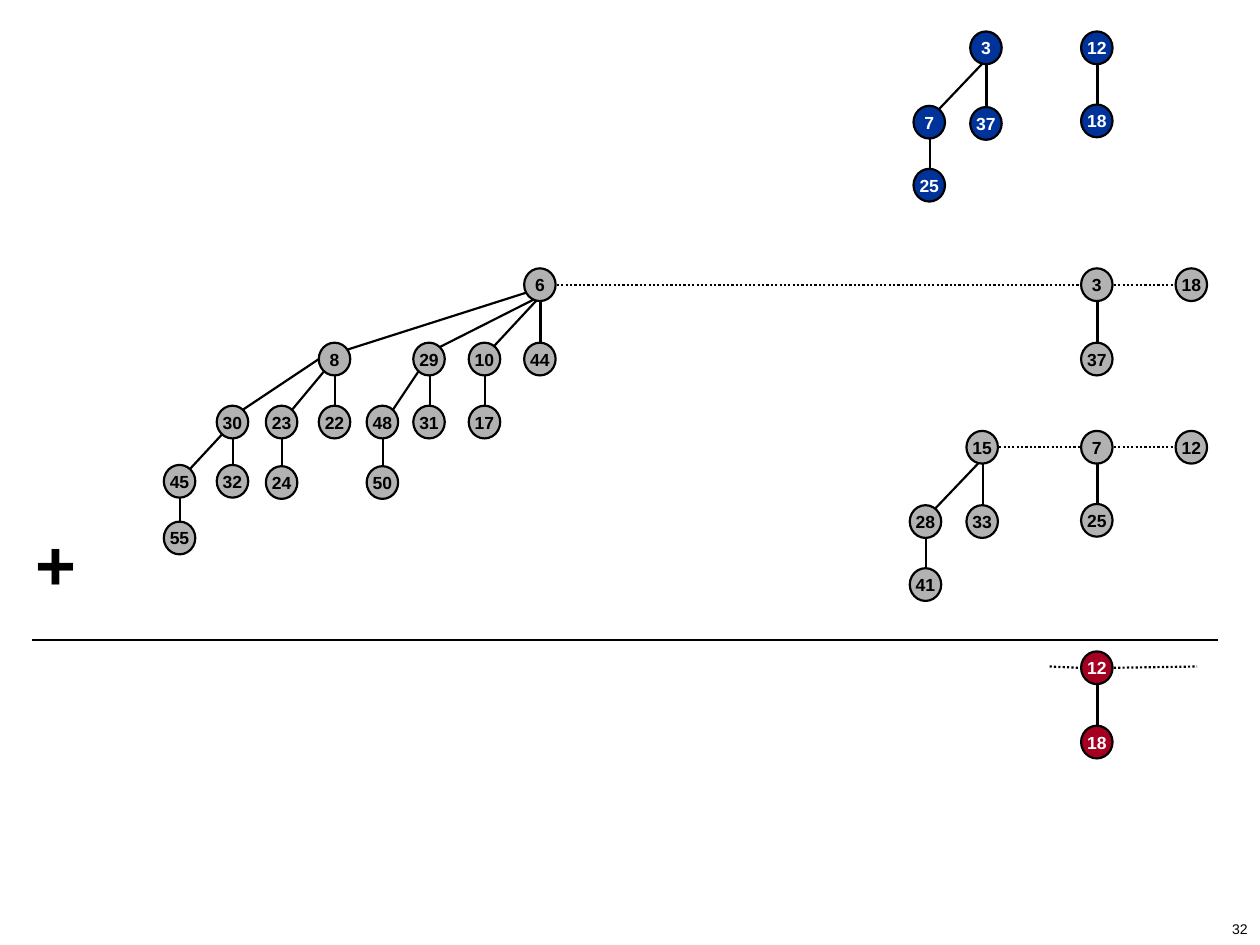
from lxml.etree import SubElement
from pptx import Presentation
from pptx.dml.color import RGBColor
from pptx.enum.dml import MSO_LINE
from pptx.enum.shapes import MSO_CONNECTOR, MSO_SHAPE
from pptx.enum.text import MSO_ANCHOR, PP_ALIGN
from pptx.oxml.ns import qn
from pptx.util import Inches, Pt

BLACK = RGBColor(0x00, 0x00, 0x00)
WHITE = RGBColor(0xFF, 0xFF, 0xFF)
GRAY = RGBColor(0xB2, 0xB2, 0xB2)
BLUE = RGBColor(0x00, 0x33, 0x99)
RED = RGBColor(0xA5, 0x00, 0x21)
FONT = "Arial"
NODE_W, NODE_H = 0.25, 0.26

# Edge joints: offset from the child's corner, offset from the parent's corner
DOWN = ((0.13, 0), (0.13, 0.26))
ROOT = ((0.18, 0.05), (0.13, 0.22))
WIDE = ((0.18, 0.07), (0.12, 0.16))
SLANT = ((0.21, 0.03), (0.04, 0.23))
SIDE = ((0.21, 0.03), (0, 0.13))

# Each node: key, left, top, then for a child its edge joints and its children
# A tree is (fill, text colour, root); a node is (key, left, top, joints, children)
TREES = [
    # Carried trees
    (BLUE, WHITE, ("3", 7.7, 0.25, None, [
        ("7", 7.25, 0.84, ROOT, [("25", 7.25, 1.34, DOWN, [])]),
        ("37", 7.7, 0.85, DOWN, []),
    ])),
    (BLUE, WHITE, ("12", 8.58, 0.25, None, [("18", 8.58, 0.83, DOWN, [])])),
    # First heap
    (GRAY, BLACK, ("6", 4.16, 2.13, None, [
        ("8", 2.53, 2.72, WIDE, [
            ("30", 1.72, 3.22, SIDE, [
                ("45", 1.3, 3.69, SLANT, [("55", 1.3, 4.14, DOWN, [])]),
                ("32", 1.72, 3.69, DOWN, []),
            ]),
            ("23", 2.11, 3.22, SLANT, [("24", 2.11, 3.7, DOWN, [])]),
            ("22", 2.53, 3.22, DOWN, []),
        ]),
        ("29", 3.28, 2.72, ROOT, [
            ("48", 2.91, 3.22, SLANT, [("50", 2.91, 3.7, DOWN, [])]),
            ("31", 3.28, 3.22, DOWN, []),
        ]),
        ("10", 3.72, 2.72, ROOT, [("17", 3.72, 3.22, DOWN, [])]),
        ("44", 4.16, 2.72, DOWN, []),
    ])),
    (GRAY, BLACK, ("3", 8.58, 2.13, None, [("37", 8.58, 2.72, DOWN, [])])),
    (GRAY, BLACK, ("18", 9.33, 2.13, None, [])),
    # Second heap
    (GRAY, BLACK, ("15", 7.67, 3.42, None, [
        ("28", 7.22, 4.01, ROOT, [("41", 7.22, 4.51, DOWN, [])]),
        ("33", 7.67, 4.01, DOWN, []),
    ])),
    (GRAY, BLACK, ("7", 8.58, 3.42, None, [("25", 8.58, 4, DOWN, [])])),
    (GRAY, BLACK, ("12", 9.33, 3.42, None, [])),
    # Sum so far
    (RED, WHITE, ("12", 8.58, 5.17, None, [("18", 8.58, 5.76, DOWN, [])])),
]

# Dotted links along the root lists
ROOT_LINKS = [
    ((4.42, 2.26), (8.57, 2.26)), ((8.84, 2.26), (9.32, 2.26)),
    ((7.93, 3.55), (8.57, 3.55)), ((8.84, 3.55), (9.32, 3.55)),
    ((8.33, 5.29), (8.57, 5.3)), ((8.84, 5.3), (9.5, 5.29)),
]
SUM_LINE = ((0.25, 5.08), (9.67, 5.08))

deck = Presentation()
deck.slide_width, deck.slide_height = Inches(10), Inches(7.5)
page = deck.slides.add_slide(deck.slide_layouts[6])


def write(box, text, size=10, color=BLACK, bold=True, align=PP_ALIGN.CENTER,
          anchor=MSO_ANCHOR.MIDDLE, wrap=False):
    frame = box.text_frame
    frame.word_wrap = wrap
    frame.vertical_anchor = anchor
    para = frame.paragraphs[0]
    para.alignment = align
    span = para.add_run()
    span.text = text
    font = span.font
    font.name, font.size, font.bold = FONT, Pt(size), bold
    font.color.rgb = color


def draw_line(start, end, dash=None):
    ends = [Inches(value) for value in (*start, *end)]
    line = page.shapes.add_connector(MSO_CONNECTOR.STRAIGHT, *ends)
    line.line.color.rgb = BLACK
    line.line.width = Pt(1.25)
    if dash:
        line.line.dash_style = dash
    SubElement(line._element.spPr, qn("a:effectLst"))


def draw_node(node, fill, color):
    """Draw the edges and subtrees below a node, then the node over them."""
    key, left, top, _, children = node
    for child in children:
        (child_dx, child_dy), (dx, dy) = child[3]
        draw_line((child[1] + child_dx, child[2] + child_dy), (left + dx, top + dy))
        draw_node(child, fill, color)
    circle = page.shapes.add_shape(MSO_SHAPE.OVAL, Inches(left), Inches(top),
                                   Inches(NODE_W), Inches(NODE_H))
    circle.shadow.inherit = False
    circle.fill.solid()
    circle.fill.fore_color.rgb = fill
    circle.line.color.rgb = BLACK
    circle.line.width = Pt(1.25)
    write(circle, key, color=color)


# Root lists and trees
for start, end in ROOT_LINKS:
    draw_line(start, end, dash=MSO_LINE.ROUND_DOT)
for fill, color, root in TREES:
    draw_node(root, fill, color)

# Addition sign and sum line
plus = page.shapes.add_textbox(Inches(0.17), Inches(4.08), Inches(0.54), Inches(0.77))
write(plus, "+", size=40, anchor=MSO_ANCHOR.TOP, wrap=True)
draw_line(*SUM_LINE)

# Page number
number = page.shapes.add_textbox(Inches(7.92), Inches(7.25), Inches(2.08), Inches(0.25))
write(number, "32", size=8, bold=False, align=PP_ALIGN.RIGHT, wrap=True)

deck.save("out.pptx")
